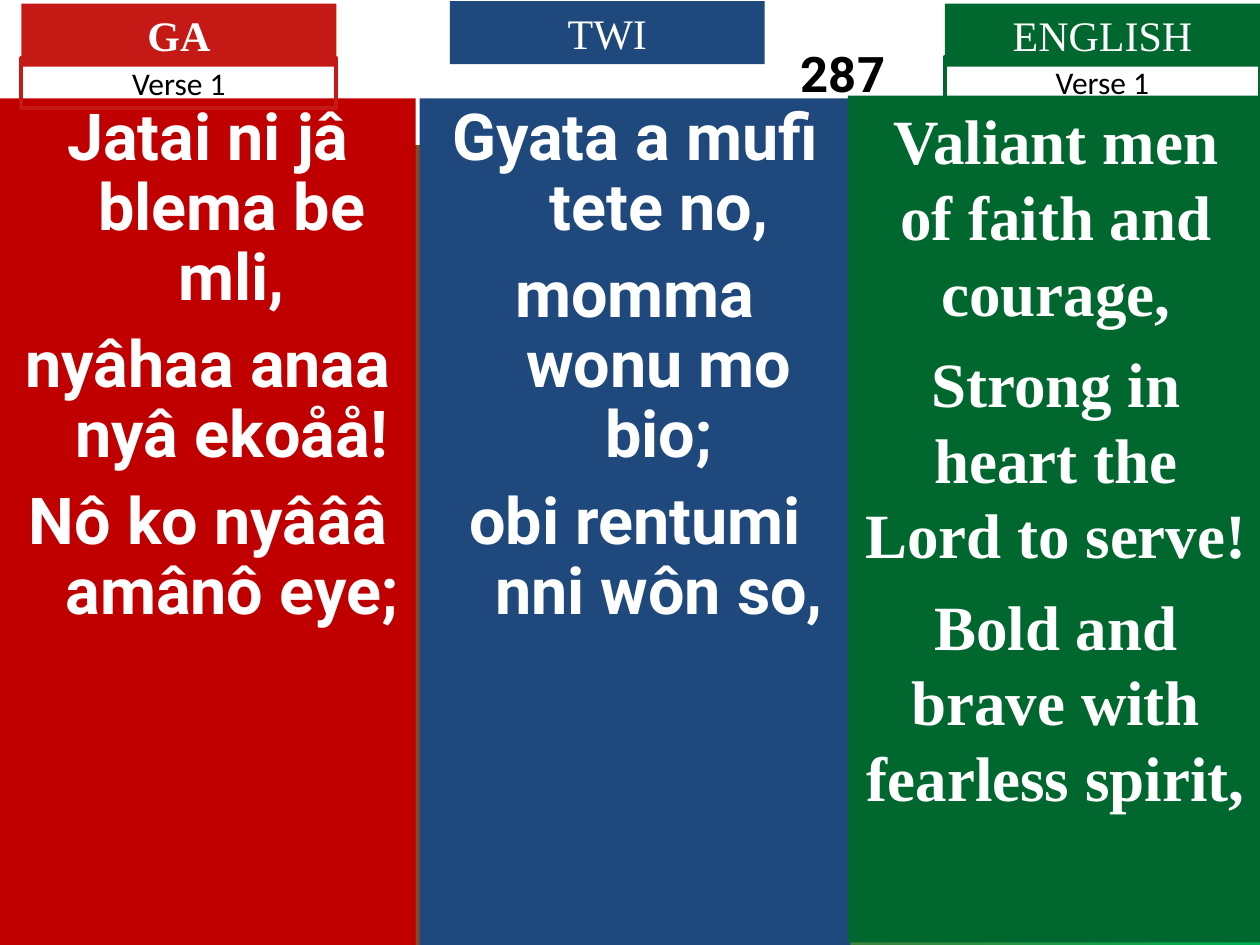
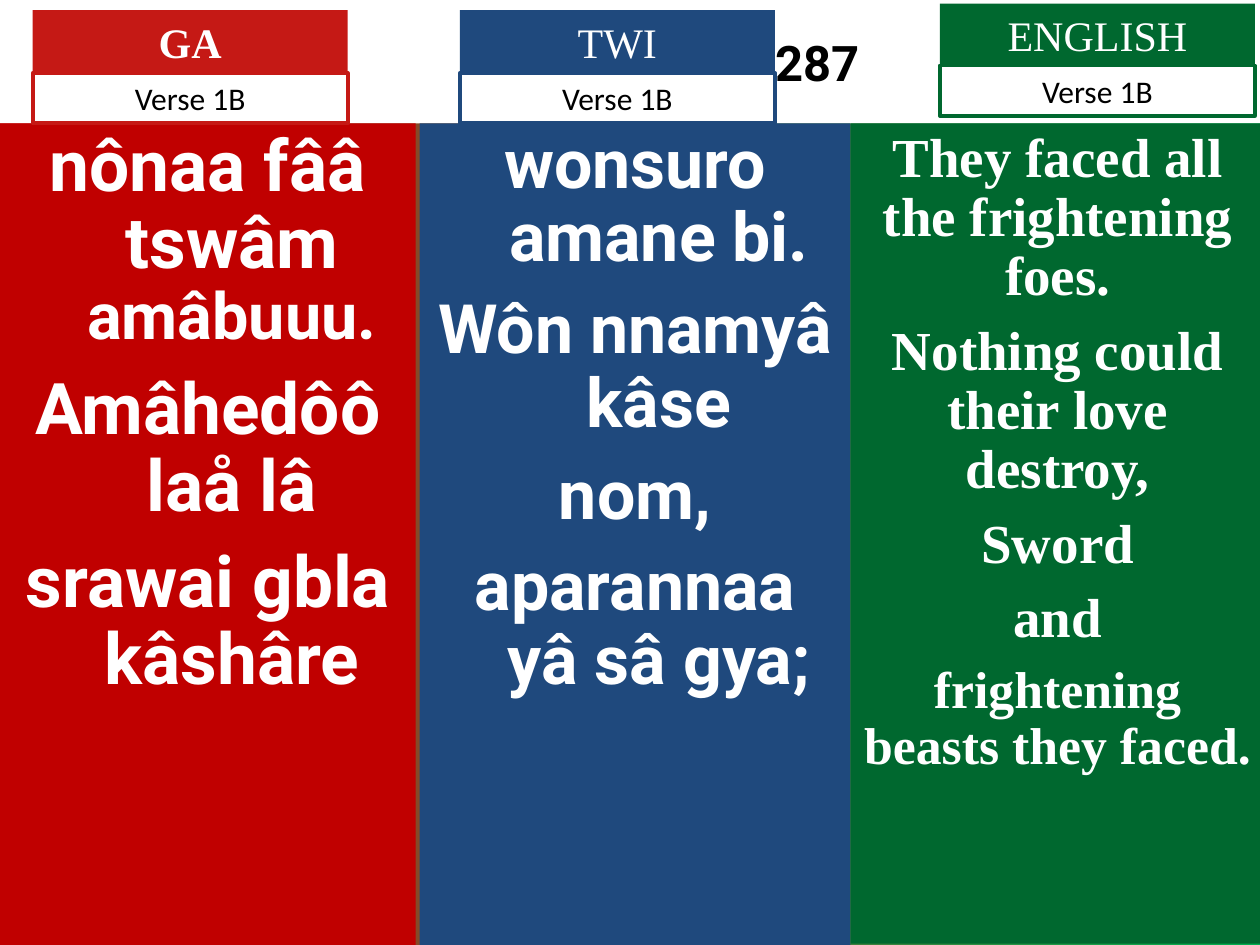
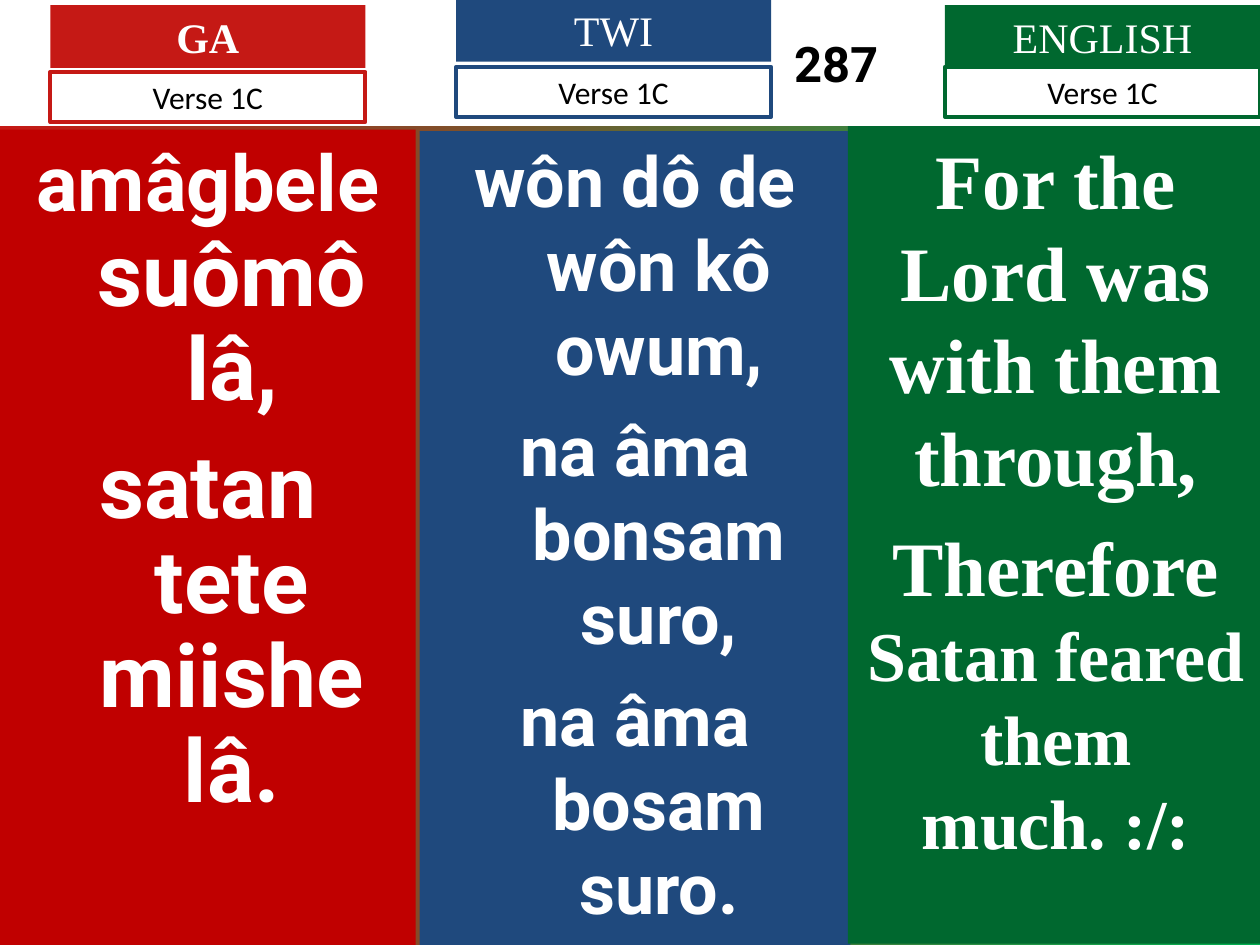
from pptx import Presentation
from pptx.dml.color import RGBColor
from pptx.enum.shapes import MSO_SHAPE
from pptx.enum.text import MSO_ANCHOR, PP_ALIGN
from pptx.util import Inches, Pt

RECT = MSO_SHAPE.RECTANGLE
CENTER = PP_ALIGN.CENTER
TOP, MIDDLE = MSO_ANCHOR.TOP, MSO_ANCHOR.MIDDLE

COLORS = {
    "red": "C51915", "deep red": "C00000", "blue": "1F497D",
    "green": "00682F", "fade end": "00B050", "white": "FFFFFF", "black": "000000",
}

# Shared style of each language: label and column colours, lyric font, hanging indent
LANGUAGES = {
    "GA": {"label": "red", "column": "deep red", "font": "Roboto", "hang": 0.38},
    "TWI": {"label": "blue", "column": "blue", "font": "Roboto", "hang": 0.38},
    "ENGLISH": {"label": "green", "column": "green", "font": "Times New Roman", "hang": 0},
}
LABEL_W, LABEL_H, VERSE_H = 2.5, 0.5, 0.4
HYMN_NUMBER = "287"

# Per language: column box, label corner, top of the verse box (None: no box),
# size, line spacing, space before, and lines (text, or runs with their own size)
VERSES = [
    {"name": "Verse 1", "band": 1.15, "number_shift": 3.38, "parts": {
        "GA": {"box": (0, 0.78, 3.3, 6.72), "label": (0.17, 0.03), "verse_top": 0.46,
               "size": 37, "spacing": 0.9, "before": 10,
               "lines": ["Jatai ni jâ blema be mli,", "nyâhaa anaa nyâ ekoåå!",
                         "Nô ko nyâââ amânô eye;"]},
        "TWI": {"box": (3.33, 0.78, 3.42, 6.72), "label": (3.57, 0.01), "verse_top": None,
                "size": 37, "spacing": 0.9, "before": 10,
                "lines": ["Gyata a mufi tete no,", "momma wonu mo bio;",
                          "obi rentumi nni wôn so,"]},
        "ENGLISH": {"box": (6.73, 0.76, 3.3, 6.72), "label": (7.5, 0.03), "verse_top": 0.45,
                    "size": 36, "spacing": 1.0, "before": 9,
                    "lines": ["Valiant men of faith and courage,",
                              "Strong in heart the Lord to serve!",
                              "Bold and brave with fearless spirit,"]},
    }},
    {"name": "Verse 1B", "band": 0.98, "number_shift": 2.98, "parts": {
        "GA": {"box": (0, 0.98, 3.3, 6.52), "label": (0.26, 0.08), "verse_top": 0.58,
               "size": 40.7, "spacing": 0.9, "before": 11,
               "lines": [[("nônaa fââ tswâm ", 40.7), ("amâbuuu.", 37)],
                         "Amâhedôô laå lâ", "srawai gbla kâshâre"]},
        "TWI": {"box": (3.33, 0.98, 3.42, 6.52), "label": (3.65, 0.08), "verse_top": 0.58,
                "size": 38.9, "spacing": 0.9, "before": 10.5,
                "lines": ["wonsuro amane bi.", "Wôn nnamyâ kâse", "nom,",
                          "aparannaa yâ sâ gya;"]},
        "ENGLISH": {"box": (6.75, 0.98, 3.29, 6.51), "label": (7.46, 0.03), "verse_top": 0.52,
                    "size": 31.4, "spacing": 0.9, "before": 8.5,
                    "lines": ["They faced all the frightening foes.",
                              "Nothing could their love destroy,", "Sword", "and",
                              [("frightening beasts they faced.", 29.6)]]},
    }},
    {"name": "Verse 1C", "band": 1.0, "number_shift": 3.28, "parts": {
        "GA": {"box": (0, 1.03, 3.3, 6.47), "label": (0.4, 0.04), "verse_top": 0.57,
               "size": 50, "spacing": 0.9, "before": 13.5,
               "lines": [[("amâgbele", 44.4), (" suômô lâ,", 50)],
                         "satan tete miishe lâ."]},
        "TWI": {"box": (3.33, 1.04, 3.42, 6.46), "label": (3.62, -0.01), "verse_top": 0.53,
                "size": 40, "spacing": 1.0, "before": 10,
                "lines": ["wôn dô de wôn kô owum,", "na âma bonsam suro,",
                          "na âma bosam suro."]},
        "ENGLISH": {"box": (6.73, 1.0, 3.3, 6.49), "label": (7.5, 0.04), "verse_top": 0.53,
                    "size": 44, "spacing": 1.0, "before": 10,
                    "lines": ["For the Lord was with them through,",
                              [("Therefore ", 44), ("Satan feared them much. :/:", 40)]]},
    }},
]


def rgb(name):
    return RGBColor.from_string(COLORS[name])


def set_all(target, values):
    for key, value in values.items():
        setattr(target, key, value)


def add_panel(slide, box, fill=None, line=None, anchor=TOP, left_inset=0.1):
    """Add a rectangle and return its text frame."""
    panel = slide.shapes.add_shape(RECT, *(Inches(v) for v in box))
    panel.shadow.inherit = False
    if fill:
        panel.fill.solid()
        panel.fill.fore_color.rgb = rgb(fill)
    else:
        panel.fill.background()
    if line:
        panel.line.color.rgb = rgb(line)
        panel.line.width = Pt(2.25)
    else:
        panel.line.fill.background()
    frame = panel.text_frame
    set_all(frame, {"word_wrap": True, "vertical_anchor": anchor,
                    "margin_left": Inches(left_inset), "margin_right": Inches(0.1),
                    "margin_top": Inches(0.05), "margin_bottom": Inches(0.05)})
    return frame


def add_run(paragraph, text, size, font, color, bold=False):
    run = paragraph.add_run()
    run.text = text
    set_all(run.font, {"size": Pt(size), "name": font, "bold": bold})
    run.font.color.rgb = rgb(color)


def write_line(frame, *style):
    paragraph = frame.paragraphs[0]
    paragraph.alignment = CENTER
    add_run(paragraph, *style)


def paint_background(slide):
    fade = slide.background.fill
    fade.gradient()
    fade.gradient_angle = 0
    for stop, color in zip(fade.gradient_stops, ("red", "fade end")):
        stop.color.rgb = rgb(color)


def add_number_band(slide, height, shift):
    frame = add_panel(slide, (0, 0, 10, height), "white", anchor=MIDDLE, left_inset=shift + 0.1)
    write_line(frame, HYMN_NUMBER, 28, "Roboto", "black", True)


def add_lyrics(slide, language, part):
    style = LANGUAGES[language]
    frame = add_panel(slide, part["box"], style["column"])
    for index, line in enumerate(part["lines"]):
        paragraph = frame.add_paragraph() if index else frame.paragraphs[0]
        set_all(paragraph, {"alignment": CENTER, "line_spacing": part["spacing"],
                            "space_before": Pt(part["before"] if index else 0)})
        if style["hang"]:
            indent = Inches(style["hang"])
            properties = paragraph._p.get_or_add_pPr()
            properties.set("marL", str(indent))
            properties.set("indent", str(-indent))
        runs = [(line, part["size"])] if isinstance(line, str) else line
        for text, size in runs:
            add_run(paragraph, text, size, style["font"], "white", True)


def add_label(slide, language, part, verse_name):
    color = LANGUAGES[language]["label"]
    left, top = part["label"]
    label = add_panel(slide, (left, top, LABEL_W, LABEL_H), color)
    write_line(label, language, 24, "Times New Roman", "white", language == "GA")
    if part["verse_top"] is not None:
        verse = add_panel(slide, (left, part["verse_top"], LABEL_W, VERSE_H), line=color)
        write_line(verse, verse_name, 18, "Calibri", "black")


def main():
    deck = Presentation()
    deck.slide_width, deck.slide_height = Inches(10), Inches(7.5)
    for verse in VERSES:
        slide = deck.slides.add_slide(deck.slide_layouts[6])
        paint_background(slide)
        add_number_band(slide, verse["band"], verse["number_shift"])
        # Lyric columns, then the labels on top of them
        for language, part in verse["parts"].items():
            add_lyrics(slide, language, part)
        for language, part in verse["parts"].items():
            add_label(slide, language, part, verse["name"])
    deck.save("out.pptx")


if __name__ == "__main__":
    main()
